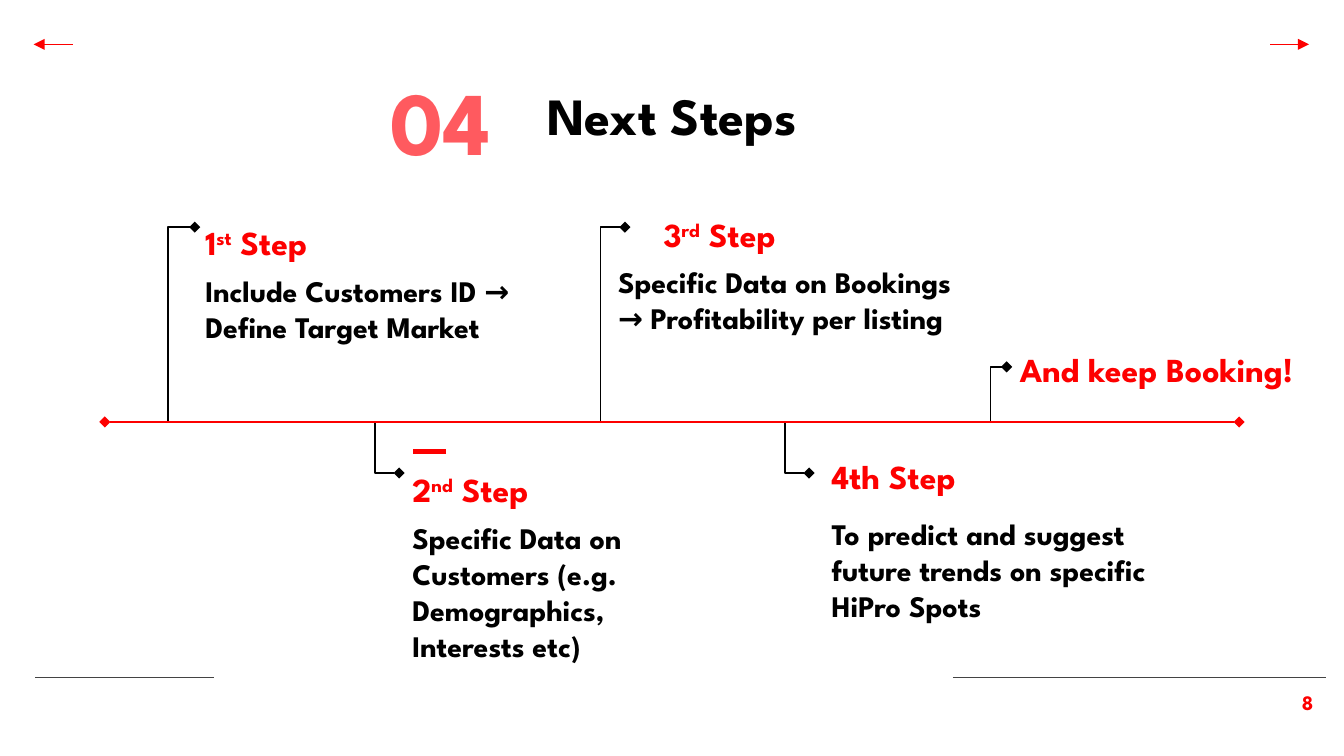
from lxml import etree
from pptx import Presentation
from pptx.dml.color import RGBColor
from pptx.enum.shapes import MSO_CONNECTOR
from pptx.enum.text import MSO_ANCHOR, PP_ALIGN
from pptx.oxml.ns import qn
from pptx.util import Emu, Pt

STRAIGHT, ELBOW = MSO_CONNECTOR.STRAIGHT, MSO_CONNECTOR.ELBOW
TOP, BOTTOM = MSO_ANCHOR.TOP, MSO_ANCHOR.BOTTOM
LEFT, CENTER, RIGHT = PP_ALIGN.LEFT, PP_ALIGN.CENTER, PP_ALIGN.RIGHT

EMU_PER_PX = 9144
FONT = "League Spartan"
COLORS = {"red": "FD0000", "coral": "FF5A5F", "black": "000000", "gray": "434343"}
SPINE_Y = 314
STEPS = [
    dict(box=(143, 155, 282, 137), title=("1", "st", " Step"), body_at=(0, 38),
         body="Include Customers ID → Define Target Market",
         marker=(2, 14), stem=-18),
    dict(box=(297, 339, 246, 72), title=("2", "nd", " Step"), body_at=(0, 38),
         body="Specific Data on Customers (e.g. Demographics, Interests etc)",
         marker=(0, 13), stem=-18),
    dict(box=(484, 149, 282, 136), title=("3", "rd", " Step"), body_at=(-34, 37),
         body="Specific Data on Bookings → Profitability per listing",
         marker=(-19, 20), stem=-37),
    dict(box=(609, 329, 282, 144), title=("4th Step",), body_at=(0, 45),
         body="To predict and suggest future trends on specific HiPro Spots",
         marker=(-7, 23), stem=-25),
]


def px(n):
    return Emu(n * EMU_PER_PX)


def add_text(s, box, runs, size, color, align=LEFT, anchor=TOP, top=10):
    tf = s.shapes.add_textbox(*map(px, box)).text_frame
    tf.word_wrap = True
    tf.vertical_anchor = anchor
    tf.margin_left = tf.margin_right = tf.margin_bottom = px(10)
    tf.margin_top = px(top)
    p = tf.paragraphs[0]
    p.alignment = align
    for i, text in enumerate(runs):
        r = p.add_run()
        r.text = text
        r.font.name, r.font.size, r.font.bold = FONT, Pt(size), True
        r.font.color.rgb = RGBColor.from_string(COLORS[color])
        if i == 1:
            r.font._element.set("baseline", "30000")


def add_line(s, start, end, color, width=0.75, head=None, tail=None, kind=STRAIGHT):
    sp = s.shapes.add_connector(kind, *map(px, (*start, *end)))
    sp.line.color.rgb = RGBColor.from_string(COLORS[color])
    sp.line.width = Pt(width)
    ln = sp.line._get_or_add_ln()
    for tag, arrow in (("a:headEnd", head), ("a:tailEnd", tail)):
        if arrow:
            etree.SubElement(ln, qn(tag), type=arrow)
    sp_pr = sp._element.spPr
    etree.SubElement(sp_pr, qn("a:effectLst"))
    if kind == ELBOW:
        sp_pr.find(qn("a:prstGeom")).set("prst", "bentConnector2")


def add_marker(s, marker, stem_x):
    add_line(s, marker, (stem_x, SPINE_Y), "black", head="diamond", kind=ELBOW)


def add_step(s, box, title, body, body_at, marker, stem):
    x, y, w, h = box
    dx, dy = body_at
    add_text(s, (x, y, 180, 27), title, 18, "red")
    add_text(s, (x + dx, y + dy, w, h - dy), [body], 16, "black")
    add_marker(s, (x + marker[0], y + marker[1]), x + stem)


def add_closing(s, box):
    x, y, w, h = box
    add_text(s, box, ["And keep Booking!"], 18, "red", anchor=BOTTOM)
    add_marker(s, (x, y + h // 2), x - 12)


def add_header(s, box):
    x, y, w, h = box
    add_line(s, (x + 29, y), (x, y), "red", tail="triangle")
    add_line(s, (x + w - 29, y), (x + w, y), "red", tail="triangle")
    add_text(s, (x + 136, y + 19, 678, 63), ["Next Steps"], 28, "black", CENTER)
    add_text(s, (x + 256, y + 24, 131, 82), ["04"], 48, "coral", anchor=BOTTOM, top=0)


def add_footer(s, box):
    x, y, w, h = box
    add_line(s, (x + 133, y), (x, y), "gray")
    add_line(s, (x + w - 278, y), (x + w, y), "gray")
    add_text(s, (x + w - 64, y, 64, h), ["8"], 11, "red", RIGHT)


def add_timeline(s, box):
    x, y, w, h = box
    for step in STEPS:
        add_step(s, **step)
    add_closing(s, (749, 246, 251, 54))
    add_line(s, (x, y), (x + w, y), "red", 1.5, "diamond", "diamond")
    add_line(s, (x + 254, y + h), (x + 229, y + h), "red", 3)


def main():
    prs = Presentation()
    prs.slide_width = px(1000)
    prs.slide_height = Emu(prs.slide_width * 9 // 16)
    s = prs.slides.add_slide(prs.slide_layouts[6])
    add_footer(s, (26, 504, 961, 43))
    add_header(s, (25, 33, 949, 106))
    add_timeline(s, (78, SPINE_Y, 844, 22))
    prs.save("out.pptx")


if __name__ == "__main__":
    main()
